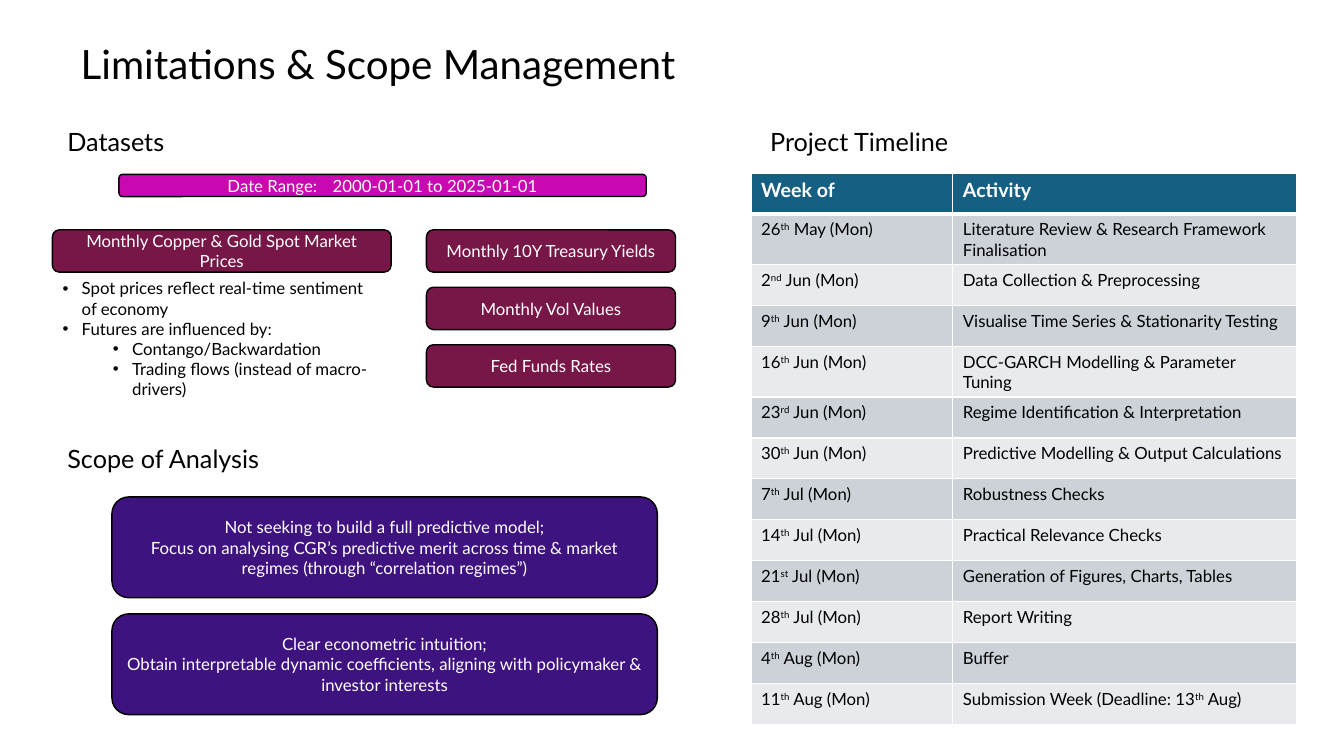
import pptx
import pptx.util
import pptx.dml.color
import pptx.enum.shapes
import pptx.enum.text
import pptx.oxml
import pptx.oxml.ns
from lxml import etree

Inches = pptx.util.Inches
RGBColor = pptx.dml.color.RGBColor
ALIGN = pptx.enum.text.PP_ALIGN
ANCHOR = pptx.enum.text.MSO_ANCHOR
AUTO_SIZE = pptx.enum.text.MSO_AUTO_SIZE

FONT = "Lato"
BLACK = RGBColor(0x00, 0x00, 0x00)
WHITE = RGBColor(0xFF, 0xFF, 0xFF)
MAROON = RGBColor(0x77, 0x17, 0x47)
PURPLE = RGBColor(0x3F, 0x13, 0x7F)
MAGENTA = RGBColor(0xC8, 0x08, 0xB1)
HEADER_BLUE = RGBColor(0x15, 0x60, 0x82)
BAND_DARK = RGBColor(0xCC, 0xD2, 0xD8)
BAND_LIGHT = RGBColor(0xE8, 0xEA, 0xED)

HEADINGS = [
    ("Datasets", 0.57, 1.2, 2.05),
    ("Scope of Analysis", 0.57, 4.35, 2.37),
    ("Project Timeline", 7.54, 1.2, 2.37),
]
SPOT_PRICE_NOTES = [
    (0, "Spot prices reflect real-time sentiment of economy"),
    (0, "Futures are influenced by:"),
    (1, "Contango/Backwardation"),
    (1, "Trading flows (instead of macro-drivers)"),
]
OTHER_DATASETS = ["Monthly 10Y Treasury Yields", "Monthly Vol Values", "Fed Funds Rates"]
SCOPE_POINTS = [
    ["Not seeking to build a full predictive model;",
     "Focus on analysing CGR’s predictive merit across time & market regimes "
     "(through “correlation regimes”)"],
    ["Clear econometric intuition;",
     "Obtain interpretable dynamic coefficients, aligning with policymaker & "
     "investor interests"],
]
# Text between carets is superscript.
TIMELINE = [
    ("Week of", "Activity"),
    ("26^th^ May (Mon)", "Literature Review & Research Framework Finalisation"),
    ("2^nd^ Jun (Mon)", "Data Collection & Preprocessing"),
    ("9^th^ Jun (Mon)", "Visualise Time Series & Stationarity Testing"),
    ("16^th^ Jun (Mon)", "DCC-GARCH Modelling & Parameter Tuning"),
    ("23^rd^ Jun (Mon)", "Regime Identification & Interpretation"),
    ("30^th^ Jun (Mon)", "Predictive Modelling & Output Calculations"),
    ("7^th^ Jul (Mon)", "Robustness Checks"),
    ("14^th^ Jul (Mon)", "Practical Relevance Checks"),
    ("21^st^ Jul (Mon)", "Generation of Figures, Charts, Tables"),
    ("28^th^ Jul (Mon)", "Report Writing"),
    ("4^th^ Aug (Mon)", "Buffer"),
    ("11^th^ Aug (Mon)", "Submission Week (Deadline: 13^th^ Aug)"),
]


def place(placeholder, left, top, width, height):
    placeholder.left, placeholder.top = Inches(left), Inches(top)
    placeholder.width, placeholder.height = Inches(width), Inches(height)


def add_runs(paragraph, text, size, color, bold=False):
    """Add the text as runs; every second caret-separated part is superscript."""
    for index, part in enumerate(text.split("^")):
        run = paragraph.add_run()
        run.text = part
        run.font.name = FONT
        run.font.size = pptx.util.Pt(size)
        run.font.bold = bold
        run.font.color.rgb = color
        if index % 2:
            run.font._element.set("baseline", "30000")


def next_paragraph(frame, index):
    return frame.add_paragraph() if index else frame.paragraphs[0]


def set_title(title):
    place(title, 0.7, 0.21, 6.19, 0.72)
    frame = title.text_frame
    frame.auto_size = AUTO_SIZE.NONE
    frame.word_wrap = True
    frame.vertical_anchor = ANCHOR.BOTTOM
    paragraph = frame.paragraphs[0]
    paragraph.alignment = ALIGN.LEFT
    paragraph.line_spacing = 0.9
    add_runs(paragraph, "Limitations & Scope Management", 28.8, BLACK)


def set_bullets(body, items):
    place(body, 0.52, 2.71, 3.36, 1.31)
    frame = body.text_frame
    frame.auto_size = AUTO_SIZE.NONE
    frame.word_wrap = True
    frame.vertical_anchor = ANCHOR.TOP
    for index, (level, text) in enumerate(items):
        paragraph = next_paragraph(frame, index)
        paragraph.level = level
        paragraph.alignment = ALIGN.LEFT
        paragraph.space_before = pptx.util.Pt(0)
        properties = paragraph._p.get_or_add_pPr()
        properties.set("marL", str(Inches(0.19 + 0.5 * level)))
        properties.set("indent", str(Inches(-0.19)))
        etree.SubElement(properties, pptx.oxml.ns.qn("a:buFont"), typeface="Arial")
        etree.SubElement(properties, pptx.oxml.ns.qn("a:buChar"), char="•")
        add_runs(paragraph, text, 12, BLACK)


def add_heading(slide, text, left, top, width):
    heading = slide.shapes.add_textbox(
        Inches(left), Inches(top), Inches(width), Inches(0.4))
    heading.text_frame.word_wrap = True
    add_runs(heading.text_frame.paragraphs[0], text, 18, BLACK)


def add_rounded_box(slide, lines, fill, left, top, width, height):
    box = slide.shapes.add_shape(
        pptx.enum.shapes.MSO_SHAPE.ROUNDED_RECTANGLE,
        Inches(left), Inches(top), Inches(width), Inches(height))
    box.shadow.inherit = False
    box.fill.solid()
    box.fill.fore_color.rgb = fill
    box.line.color.rgb = BLACK
    box.line.width = pptx.util.Pt(1)
    frame = box.text_frame
    frame.word_wrap = True
    frame.vertical_anchor = ANCHOR.MIDDLE
    for index, line in enumerate(lines):
        paragraph = next_paragraph(frame, index)
        paragraph.alignment = ALIGN.CENTER
        add_runs(paragraph, line, 12, WHITE)


def add_cell_border(cell, side, points):
    border = etree.SubElement(
        cell._tc.get_or_add_tcPr(), pptx.oxml.ns.qn(f"a:ln{side}"),
        w=str(pptx.util.Pt(points)))
    fill = etree.SubElement(border, pptx.oxml.ns.qn("a:solidFill"))
    etree.SubElement(fill, pptx.oxml.ns.qn("a:srgbClr"), val=str(WHITE))


def add_timeline(slide):
    row_height = Inches(5.28) // len(TIMELINE)
    table = slide.shapes.add_table(
        len(TIMELINE), 2, Inches(7.45), Inches(1.72),
        Inches(5.41), row_height * len(TIMELINE)).table
    table.horz_banding = False
    table.columns[0].width, table.columns[1].width = Inches(2), Inches(3.41)
    for row, entries in enumerate(TIMELINE):
        table.rows[row].height = row_height
        header = row == 0
        band = HEADER_BLUE if header else BAND_DARK if row % 2 else BAND_LIGHT
        for column, text in enumerate(entries):
            cell = table.cell(row, column)
            for side in "LRTB":
                thick = (header and side == "B") or (row == 1 and side == "T")
                add_cell_border(cell, side, 3 if thick else 1)
            cell.fill.solid()
            cell.fill.fore_color.rgb = band
            add_runs(cell.text_frame.paragraphs[0], text,
                     14 if header else 12, WHITE if header else BLACK, header)


def main():
    deck = pptx.Presentation()
    deck.slide_width, deck.slide_height = Inches(13.33), Inches(7.5)
    slide = deck.slides.add_slide(deck.slide_layouts[1])
    set_title(slide.shapes.title)
    set_bullets(slide.placeholders[1], SPOT_PRICE_NOTES)
    for heading in HEADINGS:
        add_heading(slide, *heading)
    add_rounded_box(slide, ["Date Range:\t 2000-01-01 to 2025-01-01"],
                    MAGENTA, 1.18, 1.73, 5.23, 0.22)
    add_rounded_box(slide, ["Monthly Copper & Gold Spot Market Prices"],
                    MAROON, 0.52, 2.28, 3.36, 0.42)
    for index, dataset in enumerate(OTHER_DATASETS):
        add_rounded_box(slide, [dataset], MAROON, 4.23, 2.28 + 0.57 * index, 2.47, 0.42)
    for index, point in enumerate(SCOPE_POINTS):
        add_rounded_box(slide, point, PURPLE, 1.11, 4.93 + 1.16 * index, 5.41, 1)
    add_timeline(slide)
    deck.save("out.pptx")


if __name__ == "__main__":
    main()
